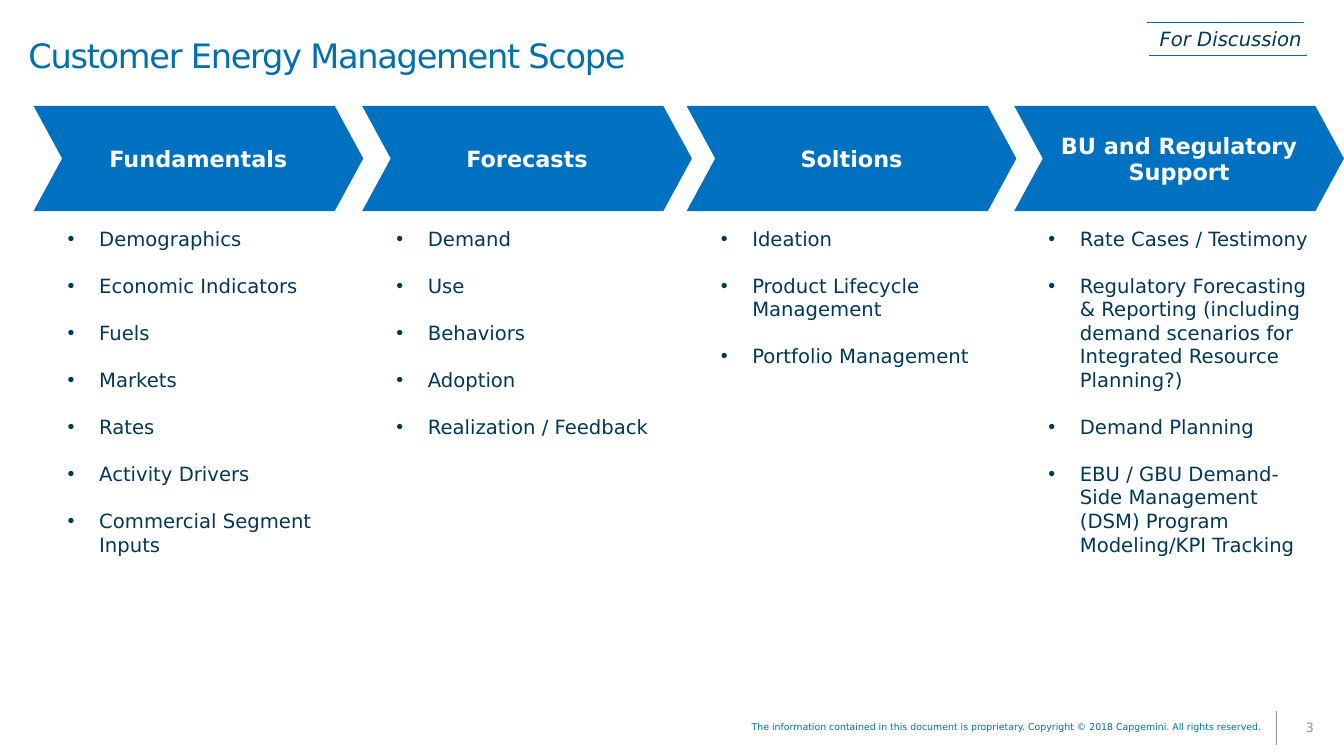
import pptx
import pptx.dml.color
import pptx.enum.shapes
import pptx.enum.text
import pptx.util
from lxml import etree

PX = 9525  # EMU per px, at 96 px to the inch
BLUE = pptx.dml.color.RGBColor(0x00, 0x70, 0xAD)
CHEVRON_BLUE = pptx.dml.color.RGBColor(0x00, 0x70, 0xC0)
NAVY = pptx.dml.color.RGBColor(0x00, 0x38, 0x56)
GREY = pptx.dml.color.RGBColor(0x96, 0x96, 0x96)
WHITE = pptx.dml.color.RGBColor(0xFF, 0xFF, 0xFF)
ALIGN = pptx.enum.text.PP_ALIGN
ANCHOR = pptx.enum.text.MSO_ANCHOR

presentation = pptx.Presentation()
presentation.slide_width = 1280 * PX
presentation.slide_height = 720 * PX
slide = presentation.slides.add_slide(presentation.slide_layouts[6])


def add_textbox(left, top, width, height, **frame_format):
    shape = slide.shapes.add_textbox(left * PX, top * PX, width * PX, height * PX)
    for name, value in {"word_wrap": True, **frame_format}.items():
        setattr(shape.text_frame, name, value)
    return shape.text_frame


def write(paragraph, text, size, color, paragraph_format=None, **font_format):
    """Fill one paragraph with a single formatted run."""
    for name, value in (paragraph_format or {}).items():
        setattr(paragraph, name, value)
    run = paragraph.add_run()
    run.text = text
    run.font.color.rgb = color
    font_values = {"name": "DejaVu Sans", "size": pptx.util.Pt(size), **font_format}
    for name, value in font_values.items():
        setattr(run.font, name, value)
    return run


# Footer
page_number = add_textbox(1216, 677, 63, 34, vertical_anchor=ANCHOR.MIDDLE)
write(page_number.paragraphs[0], "3", 9.3, GREY,
      {"alignment": ALIGN.CENTER, "line_spacing": 0.85})
copyright_line = add_textbox(575, 684, 637, 19)
write(copyright_line.paragraphs[0],
      "The information contained in this document is proprietary. "
      "Copyright © 2018 Capgemini. All rights reserved.",
      6.7, BLUE, {"alignment": ALIGN.RIGHT, "line_spacing": 0.85})

# Title and status tag
title = add_textbox(0, 0, 1280, 111, vertical_anchor=ANCHOR.MIDDLE,
                    margin_left=27 * PX, margin_right=14 * PX,
                    margin_top=3 * PX, margin_bottom=3 * PX)
title_run = write(title.paragraphs[0], "Customer Energy Management Scope", 24, BLUE,
                  {"line_spacing": 0.85})
title_run.font._element.set("spc", "-90")
status = add_textbox(1095, 21, 156, 32, word_wrap=False)
write(status.paragraphs[0], "For Discussion", 14, NAVY, italic=True)

# Rules around the status tag and beside the page number
for x1, y1, x2, y2, color in [
    (1092, 21, 1242, 21, BLUE),
    (1094, 53, 1245, 53, BLUE),
    (1216, 677, 1216, 710, GREY),
]:
    rule = slide.shapes.add_connector(
        pptx.enum.shapes.MSO_CONNECTOR.STRAIGHT, x1 * PX, y1 * PX, x2 * PX, y2 * PX)
    rule.line.color.rgb = color
    rule.line.width = pptx.util.Pt(0.75)
    etree.SubElement(rule._element.spPr, pptx.oxml.ns.qn("a:effectLst"))

# Scope columns: chevron heading with a bulleted list below
columns = [
    (32, 372, "Fundamentals",
     ["Demographics", "Economic Indicators", "Fuels", "Markets", "Rates",
      "Activity Drivers", "Commercial Segment Inputs"]),
    (345, 213, "Forecasts",
     ["Demand", "Use", "Behaviors", "Adoption", "Realization / Feedback"]),
    (654, 145, "Soltions",
     ["Ideation", "Product Lifecycle Management", "Portfolio Management"]),
    (966, 326, "BU and Regulatory Support",
     ["Rate Cases / Testimony",
      "Regulatory Forecasting & Reporting (including demand scenarios for "
      "Integrated Resource Planning?)",
      "Demand Planning",
      "EBU / GBU Demand-Side Management (DSM) Program Modeling/KPI Tracking"]),
]
for left, list_height, heading, items in columns:
    chevron = slide.shapes.add_shape(
        pptx.enum.shapes.MSO_SHAPE.CHEVRON, left * PX, 101 * PX, 314 * PX, 100 * PX)
    chevron.adjustments[0] = 0.272
    chevron.shadow.inherit = False
    chevron.fill.solid()
    chevron.fill.fore_color.rgb = CHEVRON_BLUE
    chevron.line.fill.background()
    chevron.text_frame.word_wrap = True
    chevron.text_frame.vertical_anchor = ANCHOR.MIDDLE
    write(chevron.text_frame.paragraphs[0], heading, 16, WHITE,
          {"alignment": ALIGN.CENTER}, bold=True)

    item_list = add_textbox(left + 23, 211, 272, list_height)
    for index, item in enumerate(items):
        paragraph = item_list.add_paragraph() if index else item_list.paragraphs[0]
        properties = paragraph._p.get_or_add_pPr()
        properties.set("marL", str(30 * PX))
        properties.set("indent", str(-30 * PX))
        bullet_font = etree.SubElement(properties, pptx.oxml.ns.qn("a:buFont"))
        bullet_font.set("typeface", "Arial")
        bullet = etree.SubElement(properties, pptx.oxml.ns.qn("a:buChar"))
        bullet.set("char", "•")
        spacing = {"space_before": pptx.util.Pt(16.8)} if index else None
        write(paragraph, item, 14, NAVY, spacing)

presentation.save("out.pptx")
